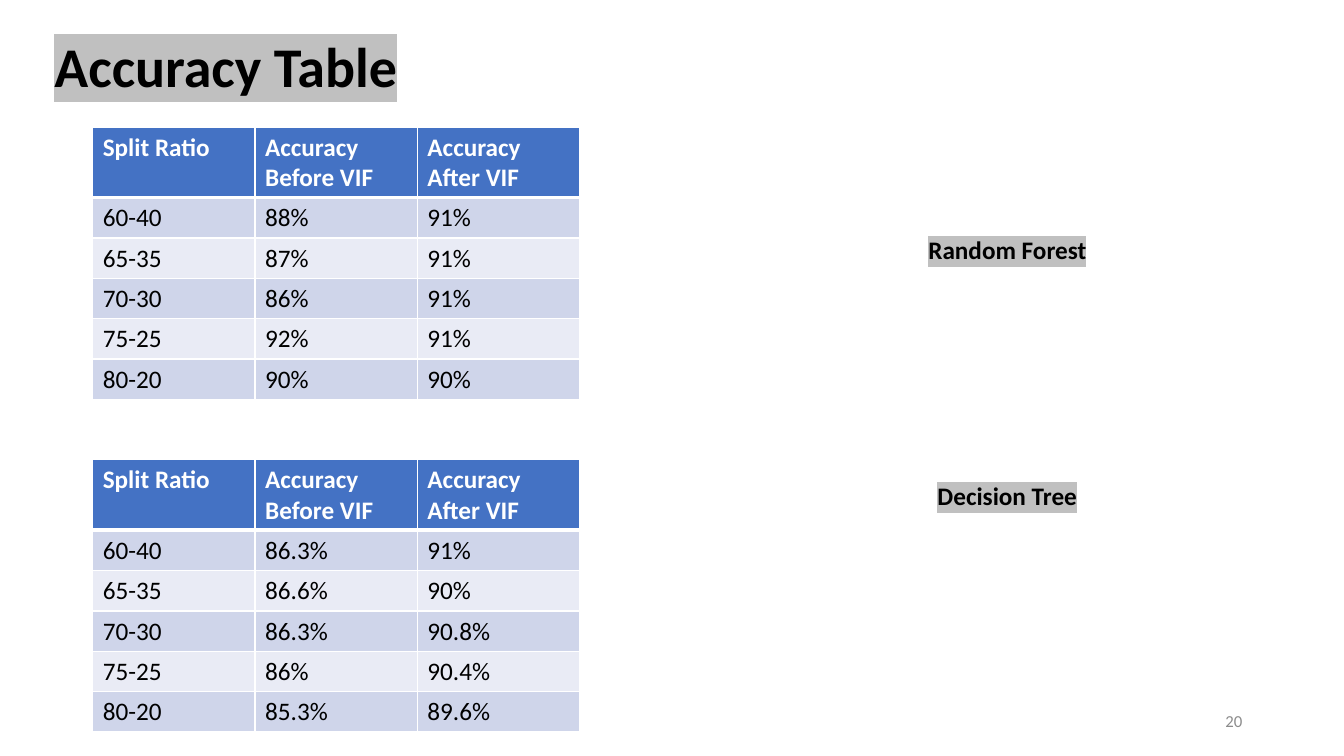
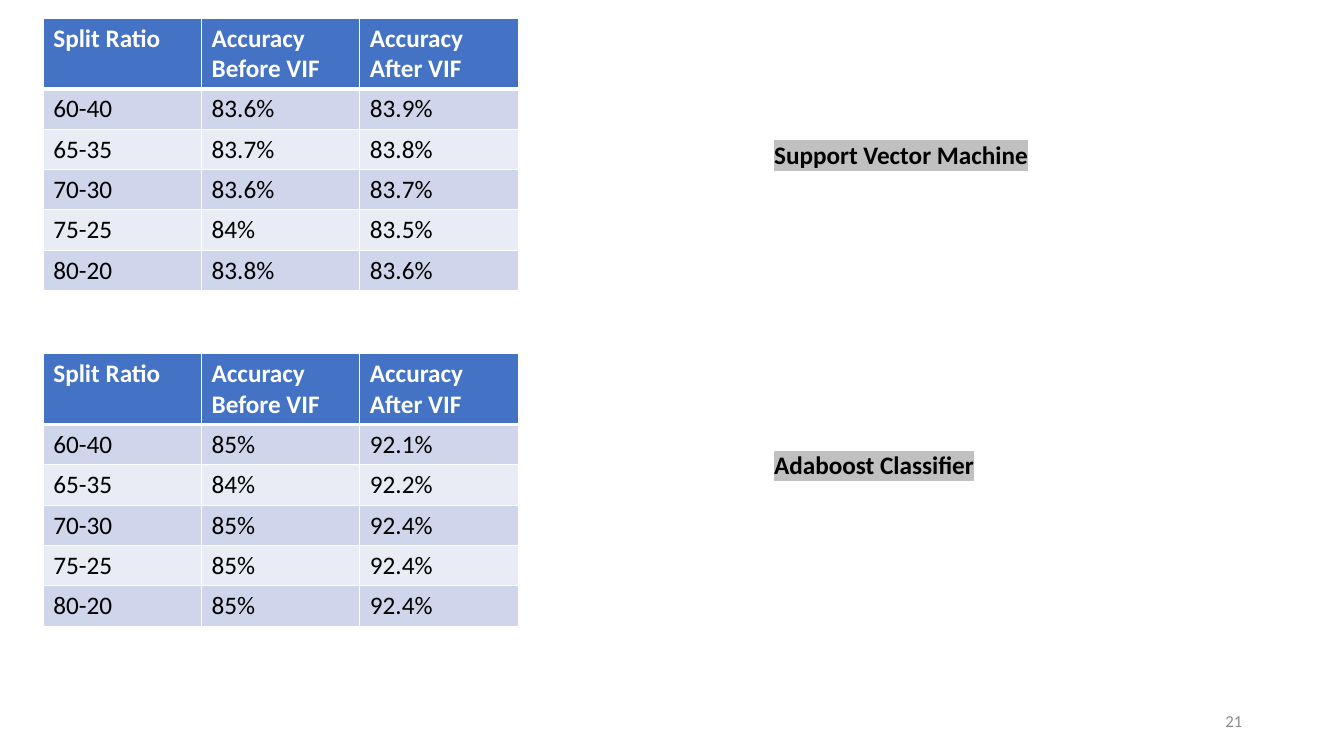
"""Build two slides of accuracy tables, one table per classifier."""
from lxml import etree
from pptx import Presentation
from pptx.dml.color import RGBColor
from pptx.enum import text
from pptx.oxml.ns import qn
from pptx.util import Inches, Pt

COLORS = {"text": "000000", "highlight": "C0C0C0", "number": "8C8C8C", "white": "FFFFFF",
          "header": "4472C4", "odd": "CFD5EA", "even": "E9EBF5"}
FONT = "Calibri"
HEADERS = ["Split Ratio", "Accuracy Before VIF", "Accuracy After VIF"]
RATIOS = ["60-40", "65-35", "70-30", "75-25", "80-20"]
HEADER_HEIGHT, ROW_HEIGHT = 0.69, 0.4

SLIDES = [
    {"title": "Accuracy Table", "number": "20", "left": 0.92, "column": 1.61, "models": [
        {"name": "Random Forest", "label": (9.11, 2.28, 2), "top": 1.26,
         "before": ["88%", "87%", "86%", "92%", "90%"],
         "after": ["91%", "91%", "91%", "91%", "90%"]},
        {"name": "Decision Tree", "label": (9.2, 4.72, 4), "top": 4.56,
         "before": ["86.3%", "86.6%", "86.3%", "86%", "85.3%"],
         "after": ["91%", "90%", "90.8%", "90.4%", "89.6%"]}]},
    {"title": None, "number": "21", "left": 0.43, "column": 1.57, "models": [
        {"name": "Support Vector Machine", "label": (7.58, 1.33, 5.5), "top": 0.18,
         "before": ["83.6%", "83.7%", "83.6%", "84%", "83.8%"],
         "after": ["83.9%", "83.8%", "83.7%", "83.5%", "83.6%"]},
        {"name": "Adaboost Classifier", "label": (7.58, 4.41, 5.5), "top": 3.51,
         "before": ["85%", "84%", "85%", "85%", "85%"],
         "after": ["92.1%", "92.2%", "92.4%", "92.4%", "92.4%"]}]},
]


def write(frame, words, size, color, bold=False, highlight=False):
    """Fill a text frame with one formatted line."""
    frame.text = words
    span = frame.paragraphs[0].runs[0]
    span.font.name, span.font.size, span.font.bold = FONT, Pt(size), bold
    span.font.color.rgb = RGBColor.from_string(COLORS[color])
    if highlight:
        fill = next(frame.paragraphs[0]._p.iter(qn("a:solidFill")))
        mark = etree.Element(qn("a:highlight"))
        etree.SubElement(mark, qn("a:srgbClr"), val=COLORS["highlight"])
        fill.addnext(mark)


def set_borders(cell, top, bottom):
    """Draw white lines around a table cell, with widths in points."""
    properties = cell._tc.get_or_add_tcPr()
    for index, (side, width) in enumerate([("L", 1), ("R", 1), ("T", top), ("B", bottom)]):
        line = etree.Element(qn(f"a:ln{side}"), w=str(Pt(width)))
        fill = etree.SubElement(line, qn("a:solidFill"))
        etree.SubElement(fill, qn("a:srgbClr"), val=COLORS["white"])
        properties.insert(index, line)


deck = Presentation()
deck.slide_width, deck.slide_height = Inches(13.33), Inches(7.5)
title_only, blank = deck.slide_layouts[5], deck.slide_layouts[6]

for content in SLIDES:
    page = deck.slides.add_slide(title_only if content["title"] else blank)
    if content["title"]:
        title = page.shapes.title
        title.left, title.top = Inches(0.44), Inches(0.26)
        title.width, title.height = Inches(3.64), Inches(0.77)
        frame = title.text_frame
        write(frame, content["title"], 40, "text", bold=True, highlight=True)
        frame.word_wrap = False
        frame.auto_size = text.MSO_AUTO_SIZE.SHAPE_TO_FIT_TEXT
        frame.vertical_anchor = text.MSO_ANCHOR.TOP
        frame.paragraphs[0].alignment = text.PP_ALIGN.LEFT

    number = page.shapes.add_textbox(Inches(9.42), Inches(6.95), Inches(3), Inches(0.4))
    number.text_frame.word_wrap = True
    number.text_frame.vertical_anchor = text.MSO_ANCHOR.MIDDLE
    write(number.text_frame, content["number"], 12, "number")
    number.text_frame.paragraphs[0].alignment = text.PP_ALIGN.RIGHT

    for model in content["models"]:
        left, top, width = model["label"]
        label = page.shapes.add_textbox(Inches(left), Inches(top), Inches(width), Inches(0.4))
        label.text_frame.word_wrap = True
        label.text_frame.auto_size = text.MSO_AUTO_SIZE.SHAPE_TO_FIT_TEXT
        write(label.text_frame, model["name"], 18, "text", bold=True, highlight=True)

        rows = [HEADERS, *zip(RATIOS, model["before"], model["after"])]
        table = page.shapes.add_table(
            len(rows), len(HEADERS), Inches(content["left"]), Inches(model["top"]),
            Inches(content["column"] * len(HEADERS)),
            Inches(HEADER_HEIGHT + ROW_HEIGHT * len(RATIOS))).table
        for column in table.columns:
            column.width = Inches(content["column"])
        for r, values in enumerate(rows):
            is_header = r == 0
            table.rows[r].height = Inches(HEADER_HEIGHT if is_header else ROW_HEIGHT)
            band = "header" if is_header else "odd" if r % 2 else "even"
            for c, value in enumerate(values):
                cell = table.cell(r, c)
                write(cell.text_frame, value, 18, "white" if is_header else "text", bold=is_header)
                cell.fill.solid()
                cell.fill.fore_color.rgb = RGBColor.from_string(COLORS[band])
                set_borders(cell, top=3 if r == 1 else 1, bottom=3 if is_header else 1)

deck.save("out.pptx")
